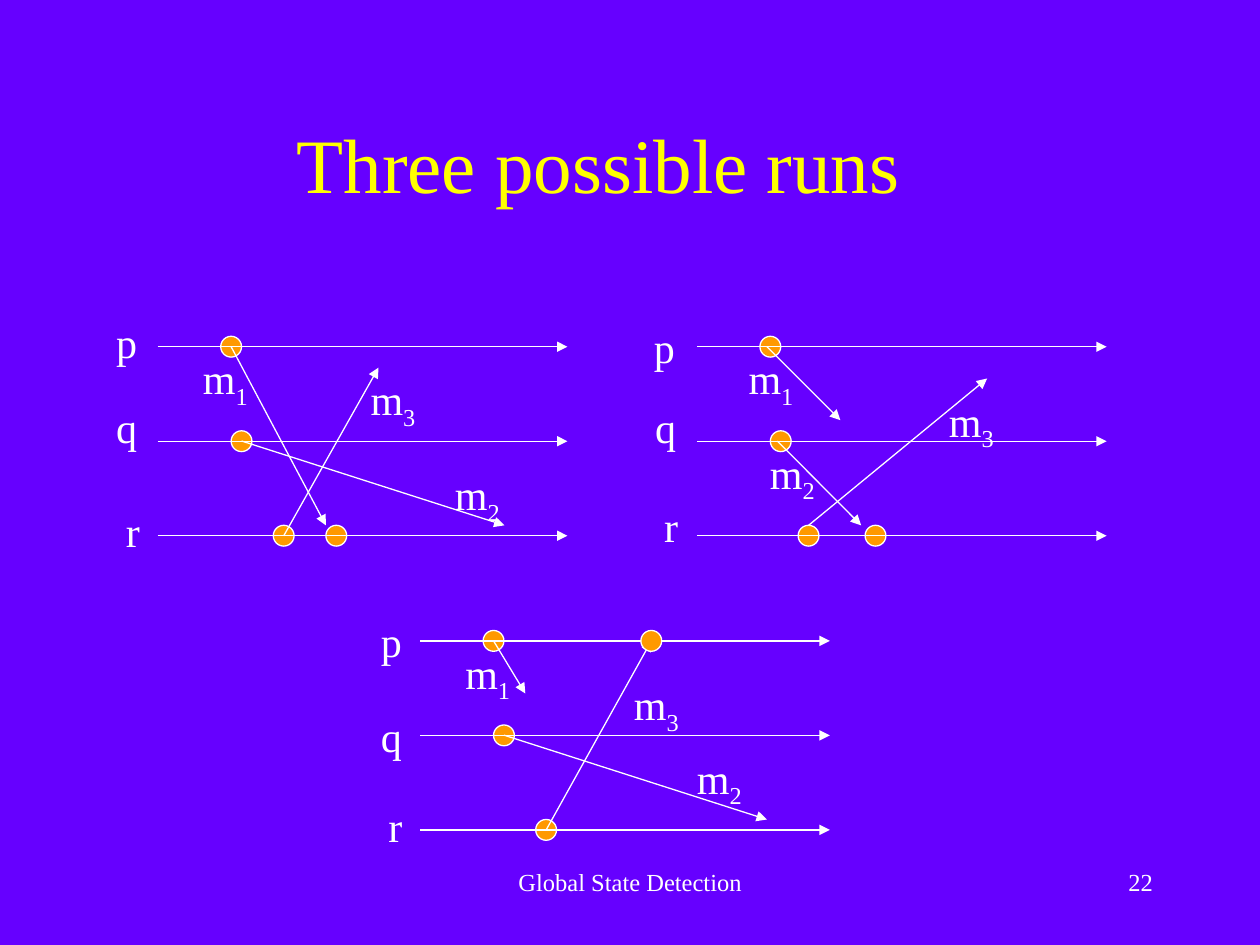
import pptx
import pptx.dml.color
import pptx.enum.shapes
import pptx.enum.text
import pptx.oxml
import pptx.oxml.ns
import pptx.util

Cm = pptx.util.Cm
Pt = pptx.util.Pt
RGBColor = pptx.dml.color.RGBColor
PP_ALIGN = pptx.enum.text.PP_ALIGN
MSO_AUTO_SIZE = pptx.enum.text.MSO_AUTO_SIZE

COLORS = {"background": "6600FF", "title": "FFFF00", "white": "FFFFFF", "event": "FF9900"}
FONT = "Times New Roman"
ROW_GAP = 1.905
TIMELINE_LENGTH = 8.26
DOT_SIZE = 0.42
LABEL_SIZES = {"p": (0.91, 1.27), "q": (0.91, 1.27), "r": (0.79, 1.27), "m": (1.5, 1.42)}

RUNS = [
    {
        "origin": (3.18, 6.99),
        "events": [(1.48, 0), (1.69, 1), (2.54, 2), (3.6, 2)],
        "messages": [(1.48, 0, 3.39, 3.6), (1.69, 1.9, 6.99, 3.6), (2.54, 3.81, 4.45, 0.42)],
        "receipts": [],
        "labels": [("p", -1.09, -0.74), ("q", -1.09, 0.97), ("r", -0.89, 3.07),
                   ("m1", 0.66, 0), ("m2", 5.74, 2.33), ("m3", 4.04, 0.42)],
    },
    {
        "origin": (14.05, 6.99),
        "events": [(1.48, 0), (1.69, 1), (2.25, 2), (3.6, 2)],
        "messages": [(1.41, 0, 2.89, 1.48), (1.62, 1.9, 3.31, 3.6), (2.25, 3.6, 5.85, 0.64)],
        "receipts": [],
        "labels": [("p", -1.12, -0.64), ("q", -1.09, 0.97), ("r", -0.91, 2.97),
                   ("m1", 0.79, 0), ("m2", 1.22, 1.9), ("m3", 4.83, 0.85)],
    },
    {
        "origin": (8.47, 12.92),
        "events": [(1.48, 0), (1.69, 1), (2.54, 2)],
        "messages": [(1.48, 0, 2.12, 1.06), (1.69, 1.9, 6.99, 3.6), (2.54, 3.81, 4.66, 0)],
        "receipts": [(4.66, 0)],
        "labels": [("p", -1.04, -0.64), ("q", -1.04, 1.27), ("r", -0.89, 3.1),
                   ("m1", 0.66, 0), ("m2", 5.33, 2.12), ("m3", 4.06, 0.64)],
    },
]

presentation = pptx.Presentation()
presentation.slide_width = Cm(25.4)
presentation.slide_height = Cm(19.05)
slide = presentation.slides.add_slide(presentation.slide_layouts[5])
slide.background.fill.solid()
slide.background.fill.fore_color.rgb = RGBColor.from_string(COLORS["background"])


def add_run(paragraph, text, size, color="white"):
    run = paragraph.add_run()
    run.text = text
    run.font.size = Pt(size)
    run.font.name = FONT
    run.font.color.rgb = RGBColor.from_string(COLORS[color])
    return run


def add_dot(center_x, center_y):
    dot = slide.shapes.add_shape(
        pptx.enum.shapes.MSO_SHAPE.FLOWCHART_CONNECTOR,
        Cm(center_x - DOT_SIZE / 2), Cm(center_y - DOT_SIZE / 2), Cm(DOT_SIZE), Cm(DOT_SIZE))
    dot.shadow.inherit = False
    dot.fill.solid()
    dot.fill.fore_color.rgb = RGBColor.from_string(COLORS["event"])
    dot.line.color.rgb = RGBColor.from_string(COLORS["white"])
    dot.line.width = Pt(0.75)


title = slide.shapes.title
title.left, title.top, title.width, title.height = Cm(1.27), Cm(1.69), Cm(21.59), Cm(3.18)
title.text_frame.auto_size = MSO_AUTO_SIZE.NONE
title.text_frame.vertical_anchor = pptx.enum.text.MSO_ANCHOR.MIDDLE
title_paragraph = title.text_frame.paragraphs[0]
title_paragraph.alignment = PP_ALIGN.CENTER
add_run(title_paragraph, "Three possible runs", 44, "title")

for diagram in RUNS:
    left, top = diagram["origin"]

    for x, row in diagram["events"]:
        add_dot(left + x, top + row * ROW_GAP)

    timelines = [(0, row * ROW_GAP, TIMELINE_LENGTH, row * ROW_GAP) for row in range(3)]
    for x1, y1, x2, y2 in timelines + diagram["messages"]:
        arrow = slide.shapes.add_connector(
            pptx.enum.shapes.MSO_CONNECTOR.STRAIGHT,
            Cm(left + x1), Cm(top + y1), Cm(left + x2), Cm(top + y2))
        arrow.line.color.rgb = RGBColor.from_string(COLORS["white"])
        arrow.line.width = Pt(0.75)
        tail = pptx.oxml.parse_xml(
            f'<a:tailEnd {pptx.oxml.ns.nsdecls("a")} type="triangle"/>')
        arrow.line._get_or_add_ln().append(tail)
        arrow._element.spPr.append(
            pptx.oxml.parse_xml(f'<a:effectLst {pptx.oxml.ns.nsdecls("a")}/>'))

    for x, row in diagram["receipts"]:
        add_dot(left + x, top + row * ROW_GAP)

    for text, x, y in diagram["labels"]:
        letter, subscript = text[0], text[1:]
        width, height = LABEL_SIZES[letter]
        label = slide.shapes.add_textbox(Cm(left + x), Cm(top + y), Cm(width), Cm(height))
        label.text_frame.word_wrap = False
        label.text_frame.auto_size = MSO_AUTO_SIZE.NONE
        paragraph = label.text_frame.paragraphs[0]
        paragraph.alignment = PP_ALIGN.LEFT
        add_run(paragraph, letter, 24)
        if subscript:
            run = add_run(paragraph, subscript, 24)
            run._r.get_or_add_rPr().set("baseline", "-25000")

for text, x, width, alignment in [
    ("Global State Detection", 8.68, 8.05, PP_ALIGN.CENTER),
    ("22", 18.2, 5.29, PP_ALIGN.RIGHT),
]:
    footer = slide.shapes.add_textbox(Cm(x), Cm(17.36), Cm(width), Cm(1.27))
    footer.text_frame.word_wrap = True
    paragraph = footer.text_frame.paragraphs[0]
    paragraph.alignment = alignment
    add_run(paragraph, text, 14)

presentation.save("out.pptx")
